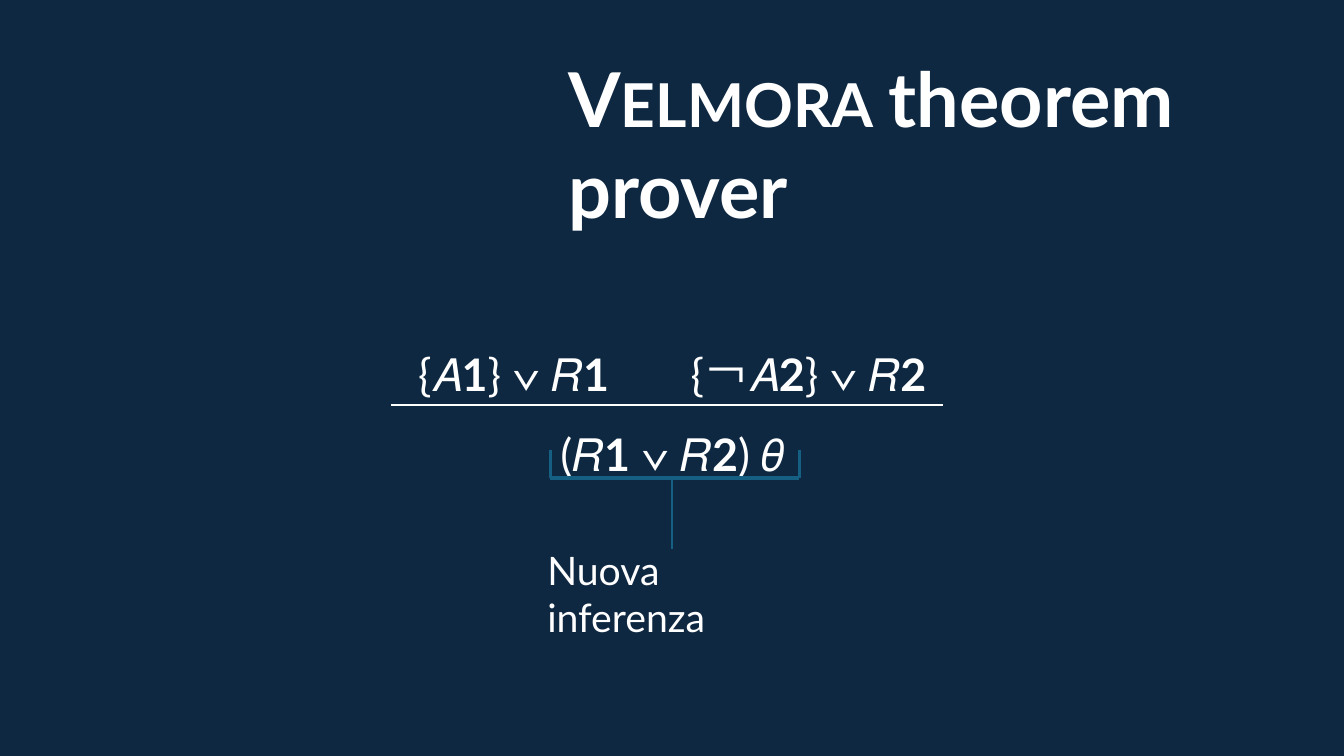
import pptx
import pptx.util
import pptx.dml.color
import pptx.enum.text
import pptx.enum.shapes
import pptx.oxml.ns
import lxml.etree

Pt = pptx.util.Pt
COLORS = {"background": "0E2841", "text": "FFFFFF", "bracket": "156082"}
FONT = "Lato"


def rgb(name):
    return pptx.dml.color.RGBColor.from_string(COLORS[name])


def add_text_box(s, left, top, width, height):
    tf = s.shapes.add_textbox(Pt(left), Pt(top), Pt(width), Pt(height)).text_frame
    tf.word_wrap = True
    tf.auto_size = pptx.enum.text.MSO_AUTO_SIZE.SHAPE_TO_FIT_TEXT
    return tf


def add_run(p, text, size, bold=False, **attributes):
    r = p.add_run()
    r.text = text
    r.font.name = FONT
    r.font.size = Pt(size)
    r.font.bold = bold
    r.font.color.rgb = rgb("text")
    for key, value in attributes.items():
        r.font._element.set(key, value)


def add_formula(p, parts, gap="5000"):
    p.alignment = pptx.enum.text.PP_ALIGN.CENTER
    p.line_spacing = 1.5
    for part in parts:
        if part == " ":
            add_run(p, part, 32, spc=gap)
        else:
            add_run(p, part, 32, part.isdigit())


def add_line(s, start, end, color, width):
    line = s.shapes.add_connector(
        pptx.enum.shapes.MSO_CONNECTOR.STRAIGHT, *map(Pt, start + end))
    line.line.color.rgb = rgb(color)
    line.line.width = Pt(width)
    lxml.etree.SubElement(line._element.spPr, pptx.oxml.ns.qn("a:effectLst"))


def add_bracket(s, left, right, top, bottom):
    corners = [(left, top), (left, bottom), (right, bottom), (right, top)]
    for start, end in zip(corners, corners[1:]):
        add_line(s, start, end, "bracket", 2.5)


def main():
    prs = pptx.Presentation()
    prs.slide_width, prs.slide_height = Pt(960), Pt(540)
    s = prs.slides.add_slide(prs.slide_layouts[6])
    s.background.fill.solid()
    s.background.fill.fore_color.rgb = rgb("background")

    title = add_text_box(s, 398.9, 65.5, 533.5, 72.7)
    title.vertical_anchor = pptx.enum.text.MSO_ANCHOR.MIDDLE
    p = title.paragraphs[0]
    add_run(p, "Velmora ", 54, True, cap="small")
    add_run(p, "theorem prover", 54, True)

    rule = add_text_box(s, 75.6, 224.6, 809.3, 116.6)
    add_formula(rule.paragraphs[0],
                ["{𝐴", "1", "} ∨ 𝑅", "1", " ", "{￢𝐴", "2", "} ∨ 𝑅", "2"])
    add_formula(rule.add_paragraph(), ["(𝑅", "1", " ∨ 𝑅", "2", ") 𝜃"])
    add_line(s, (279.4, 289.4), (673.9, 289.4), "text", 1)

    label = add_text_box(s, 383.8, 386.6, 193, 41)
    add_run(label.paragraphs[0], "Nuova inferenza", 28)
    add_bracket(s, 393.1, 571, 321.1, 341.3)
    add_line(s, (480.2, 392.4), (480.2, 341.3), "bracket", 1.5)

    prs.save("out.pptx")


if __name__ == "__main__":
    main()
